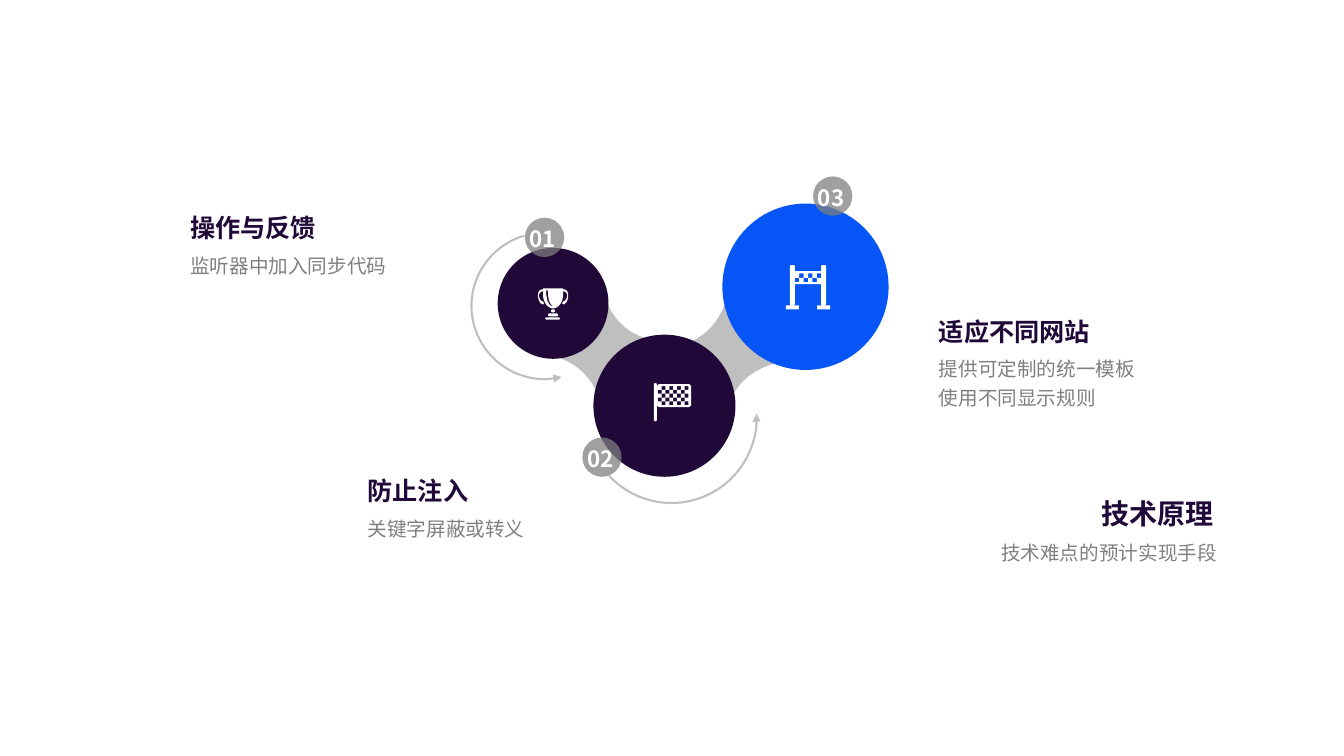
from dataclasses import dataclass

from lxml.etree import SubElement
from pptx import Presentation
from pptx.dml.color import RGBColor
from pptx.enum.shapes import MSO_SHAPE as SHAPE
from pptx.enum.text import MSO_ANCHOR as ANCHOR, PP_ALIGN as ALIGN
from pptx.oxml.ns import qn
from pptx.util import Inches, Pt


@dataclass(frozen=True)
class Theme:
    """Colours, font and type sizes of the slide."""
    dark: str = "200838"
    accent: str = "0656F7"
    neck: str = "BFBFBF"
    badge: str = "7F7F7F"
    body: str = "808080"
    white: str = "FFFFFF"
    font: str = "Noto Sans CJK SC"
    main_size: int = 20
    title_size: int = 18
    number_size: int = 16
    body_size: int = 14


def trace(start, *steps):
    """Return outline points; a pair is a line, six numbers are a Bezier curve."""
    points = [start]
    for step in steps:
        if len(step) == 2:
            points.append(step)
            continue
        ends = [points[-1], step[:2], step[2:4], step[4:]]
        for i in range(1, 13):
            t = i / 12
            weights = ((1 - t) ** 3, 3 * t * (1 - t) ** 2, 3 * t * t * (1 - t), t ** 3)
            points.append(tuple(sum(w * e[axis] for w, e in zip(weights, ends))
                                for axis in (0, 1)))
    return points


def box(x0, y0, x1, y1, cut=0):
    """Return a clockwise rectangle with corners cut off."""
    return [(x0 + cut, y0), (x1 - cut, y0), (x1, y0 + cut), (x1, y1 - cut),
            (x1 - cut, y1), (x0 + cut, y1), (x0, y1 - cut), (x0, y0 + cut)]


def check_holes(left, top, cell, cols, rows):
    """Return the counter-clockwise odd cells of a checkerboard."""
    return [box(left + c * cell, top + r * cell,
                left + (c + 1) * cell, top + (r + 1) * cell)[::-1]
            for r in range(rows) for c in range(cols) if (r + c) % 2]


def trophy():
    """Return the outlines of the trophy icon."""
    middle = 5.49
    handle = trace((5.39, 2.99), (5.4, 3.01), (5.39, 3.02),
                   (5.36, 3.02, 5.34, 2.97, 5.34, 2.93),
                   (5.34, 2.89, 5.36, 2.87, 5.39, 2.87), (5.39, 2.89),
                   (5.37, 2.89, 5.35, 2.91, 5.35, 2.93),
                   (5.35, 2.96, 5.37, 2.99, 5.39, 2.99))
    cup = trace((middle, 3.06), (5.44, 3.06, 5.39, 3, 5.39, 2.92), (5.39, 2.86),
                (5.59, 2.86), (5.59, 2.92), (5.59, 3, 5.54, 3.06, middle, 3.06))
    shine = trace((5.44, 2.88), (5.42, 2.88), (5.42, 2.88, 5.42, 3.04, 5.49, 3.04),
                  (5.43, 3, 5.44, 2.88, 5.44, 2.88))
    return [handle, [(2 * middle - x, y) for x, y in handle], cup, shine,
            box(5.47, 3.07, 5.51, 3.1, 0.01), box(5.44, 3.11, 5.54, 3.14, 0.01),
            box(5.41, 3.15, 5.56, 3.17, 0.01)]


def flag():
    """Return the outlines of the chequered flag icon."""
    return [box(6.49, 3.8, 6.52, 4.18, 0.01), box(6.52, 3.81, 6.86, 4.04, 0.02),
            *check_holes(6.53, 3.83, 0.038, 8, 5)]


def gate():
    """Return the outlines of the finish gate icon."""
    posts = [box(x, 2.63, x + 0.05, 3.03, 0.01) for x in (7.84, 8.15)]
    feet = [box(x, 3.03, x + 0.13, 3.07) for x in (7.8, 8.11)]
    return [*posts, *feet, box(7.89, 2.69, 8.15, 2.82),
            *check_holes(7.89, 2.713, 0.0435, 6, 2)]


class Deck:
    """Holds the theme and the current slide."""

    def __init__(self, prs, theme):
        """Add a blank slide to draw on."""
        self.theme = theme
        self.s = prs.slides.add_slide(prs.slide_layouts[6])

    def paint(self, sp, color, alpha=None):
        """Give a shape a plain fill without line or shadow."""
        sp.shadow.inherit = False
        sp.fill.solid()
        sp.fill.fore_color.rgb = RGBColor.from_string(color)
        sp.line.fill.background()
        if alpha:
            clr = sp.fill._xPr.find(qn("a:solidFill"))[0]
            SubElement(clr, qn("a:alpha"), val=str(alpha * 1000))

    def circle(self, left, top, size, color, alpha=None):
        """Add a filled circle."""
        sp = self.s.shapes.add_shape(SHAPE.OVAL, Inches(left), Inches(top),
                                     Inches(size), Inches(size))
        self.paint(sp, color, alpha)

    def outline(self, contours, color):
        """Add one freeform made of closed contours."""
        contours = [[(Inches(x), Inches(y)) for x, y in c] for c in contours]
        builder = self.s.shapes.build_freeform(*contours[0][0])
        builder.add_line_segments(contours[0][1:], close=True)
        for contour in contours[1:]:
            builder.move_to(*contour[0])
            builder.add_line_segments(contour[1:], close=True)
        self.paint(builder.convert_to_shape(), color)

    def arc_arrow(self, left, top, size, rotation, start, end):
        """Add a circular arc with an arrowhead at its start."""
        sp = self.s.shapes.add_shape(SHAPE.ARC, Inches(left), Inches(top),
                                     Inches(size), Inches(size))
        sp.shadow.inherit = False
        sp.rotation = rotation
        sp.adjustments[0], sp.adjustments[1] = start, end
        sp.fill.background()
        sp.line.color.rgb = RGBColor.from_string(self.theme.neck)
        sp.line.width = Pt(1.5)
        SubElement(sp.line._get_or_add_ln(), qn("a:headEnd"), type="triangle")

    def text(self, at, lines, size, color, bold=False, align=ALIGN.LEFT,
             spacing=None, anchor=ANCHOR.TOP, inset=0.1):
        """Add a text box with one paragraph per line."""
        tf = self.s.shapes.add_textbox(*map(Inches, at)).text_frame
        tf.word_wrap = True
        tf.vertical_anchor = anchor
        tf.margin_left = tf.margin_right = Inches(inset)
        tf.margin_top = tf.margin_bottom = Inches(inset / 2)
        for i, line in enumerate(lines):
            p = tf.add_paragraph() if i else tf.paragraphs[0]
            p.alignment, p.line_spacing = align, spacing
            r = p.add_run()
            r.text = line
            r.font.size, r.font.bold, r.font.name = Pt(size), bold, self.theme.font
            r.font.color.rgb = RGBColor.from_string(color)
            SubElement(r.font._element, qn("a:ea"), typeface=self.theme.font)

    def badge(self, left, top, number):
        """Add a translucent numbered badge."""
        th = self.theme
        self.circle(left, top, 0.39, th.badge, 74)
        self.text((left - 0.05, top + 0.015, 0.49, 0.39), [number], th.number_size,
                  th.white, bold=True, anchor=ANCHOR.MIDDLE)

    def caption(self, left, top, width, title, *lines):
        """Add a title with its description below."""
        th = self.theme
        self.text((left, top, width, 0.4), [title], th.title_size, th.dark, bold=True)
        self.text((left, top + 0.36, width, 0.08 + 0.28 * len(lines)), lines,
                  th.body_size, th.body, spacing=1.2)


def main():
    """Build the slide and save it."""
    prs = Presentation()
    prs.slide_width, prs.slide_height = Inches(13.34), Inches(7.5)
    th = Theme()
    deck = Deck(prs, th)

    necks = [
        trace((7.22, 2.93), (7.8, 3.58), (7.42, 3.65, 7.27, 3.85, 7.2, 4.11),
              (6.62, 3.46), (6.88, 3.42, 7.13, 3.29, 7.22, 2.93)),
        trace((5.38, 3.51), (5.97, 2.86), (6.08, 3.23, 6.29, 3.35, 6.56, 3.39),
              (5.98, 4.04), (5.91, 3.79, 5.75, 3.56, 5.38, 3.51)),
    ]
    for neck in necks:
        deck.outline([neck], th.neck)
    for left, top, size, color, icon in ((4.94, 2.46, 1.1, th.dark, trophy()),
                                         (5.89, 3.32, 1.41, th.dark, flag()),
                                         (7.17, 2.02, 1.65, th.accent, gate())):
        deck.circle(left, top, size, color)
        deck.outline(icon, th.white)

    deck.arc_arrow(4.68, 2.31, 1.45, 253.9, 109.56, 0)
    deck.arc_arrow(5.82, 3.3, 1.69, 136.3, 132.45, 0.57)
    for i, (left, top) in enumerate(((5.21, 2.16), (5.78, 4.34), (8.07, 1.75)), 1):
        deck.badge(left, top, f"{i:02}")

    deck.caption(1.79, 2.06, 2.6, "操作与反馈", "监听器中加入同步代码")
    deck.caption(3.55, 4.67, 2.4, "防止注入", "关键字屏蔽或转义")
    deck.caption(9.22, 3.09, 2.49, "适应不同网站", "提供可定制的统一模板", "使用不同显示规则")
    deck.text((8.79, 4.86, 3.39, 0.46), ["技术原理"], th.main_size, th.dark,
              bold=True, align=ALIGN.RIGHT, inset=0.13)
    deck.text((8.18, 5.27, 4, 0.64), ["技术难点的预计实现手段"], th.body_size, th.body,
              align=ALIGN.RIGHT, spacing=1.2)
    prs.save("out.pptx")


main()
